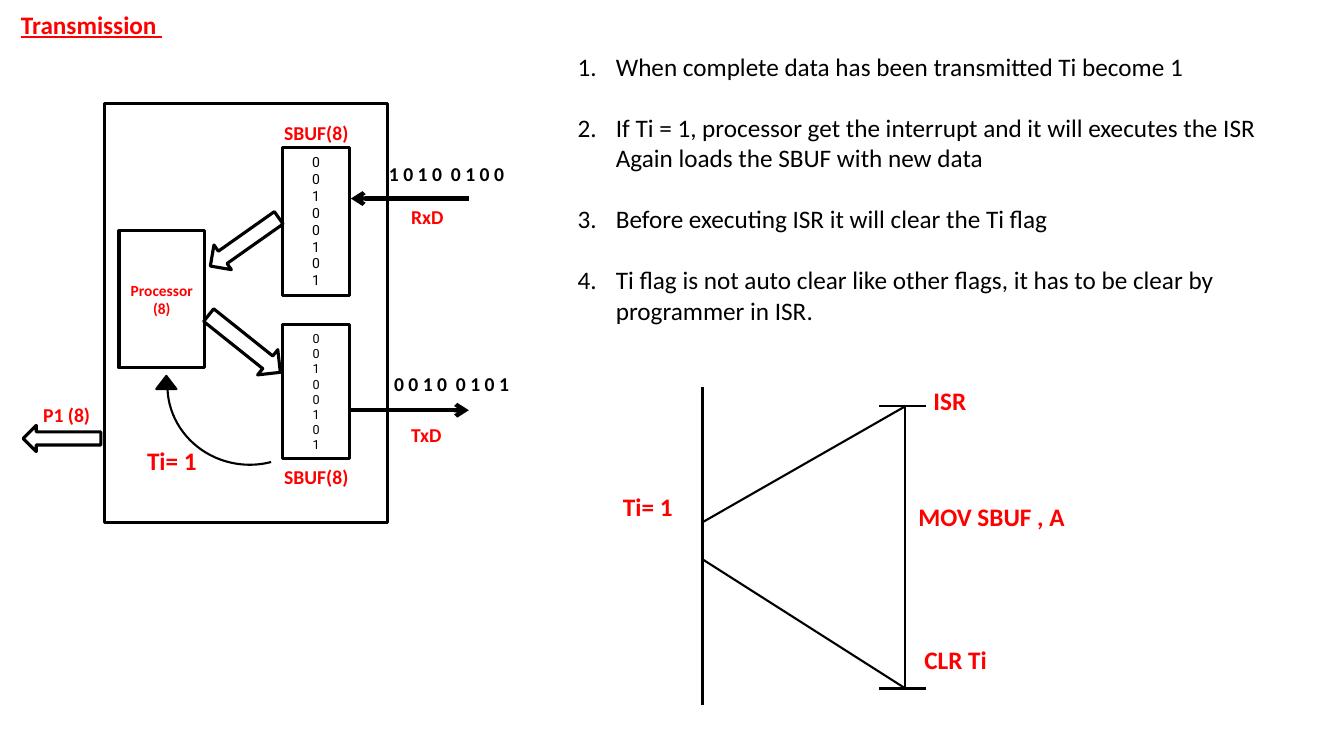
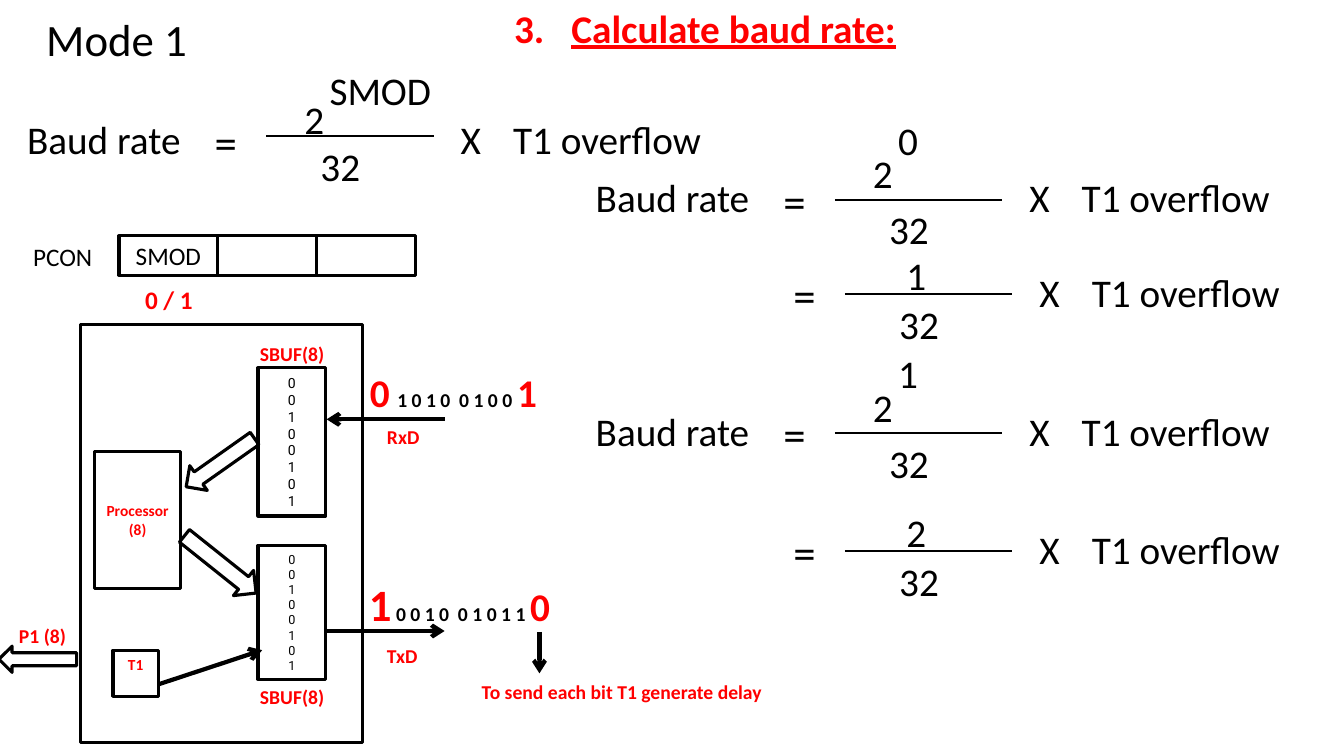
from dataclasses import dataclass

import pptx
import pptx.dml.color
import pptx.enum.shapes
import pptx.enum.text
import pptx.oxml
import pptx.oxml.ns
import pptx.util
from pptx.util import Inches

SHAPES = pptx.enum.shapes.MSO_SHAPE
ANCHORS = pptx.enum.text.MSO_ANCHOR
ALIGNMENTS = pptx.enum.text.PP_ALIGN


@dataclass(frozen=True)
class Theme:
    red: str = "FF0000"
    black: str = "000000"
    font: str = "Calibri"
    bits_font: str = "Roboto"
    caption: float = 11
    label: float = 14
    body: float = 18
    formula: float = 28
    display: float = 32
    thin: float = 1.5
    outline: float = 2.25
    thick: float = 3


THEME = Theme()
BITS = "00100101"


def rgb(color):
    return pptx.dml.color.RGBColor.from_string(color)


def style_font(font, size, color, bold=False, name=THEME.font):
    font.size = pptx.util.Pt(size)
    font.color.rgb = rgb(color)
    font.bold = bold
    font.name = name


def add_text_box(slide, left, top, width, size):
    height = size * 1.22 / 72 + 0.1
    shape = slide.shapes.add_textbox(Inches(left), Inches(top), Inches(width), Inches(height))
    shape.text_frame.word_wrap = True
    return shape.text_frame


def add_label(slide, text, left, top, width, size=THEME.label, color=THEME.red, bold=True):
    paragraph = add_text_box(slide, left, top, width, size).paragraphs[0]
    paragraph.text = text
    style_font(paragraph.font, size, color, bold)
    return paragraph


def add_bit_stream(slide, left, top, width, pieces):
    paragraph = add_text_box(slide, left, top, width, THEME.formula).paragraphs[0]
    for text, size, color in pieces:
        run = paragraph.add_run()
        run.text = text
        style_font(run.font, size, color, True)


def number_paragraph(paragraph, indent, color, start=1):
    properties = paragraph._p.get_or_add_pPr()
    properties.set("marL", str(Inches(indent)))
    properties.set("indent", str(-Inches(indent)))
    namespace = pptx.oxml.ns.nsdecls("a")
    for xml in (
        f'<a:buClr {namespace}><a:srgbClr val="{color}"/></a:buClr>',
        f'<a:buFont {namespace} typeface="+mj-lt"/>',
        f'<a:buAutoNum {namespace} type="arabicPeriod" startAt="{start}"/>',
    ):
        properties.append(pptx.oxml.parse_xml(xml))


def add_outline(slide, kind, left, top, width, height, rotation=0, weight=THEME.outline):
    shape = slide.shapes.add_shape(kind, Inches(left), Inches(top), Inches(width), Inches(height))
    shape.shadow.inherit = False
    shape.fill.background()
    shape.line.color.rgb = rgb(THEME.black)
    shape.line.width = pptx.util.Pt(weight)
    shape.rotation = rotation
    return shape


def add_box(slide, lines, left, top, width, height, size, color=THEME.black, bold=False,
            name=THEME.font, anchor=ANCHORS.MIDDLE):
    shape = add_outline(slide, SHAPES.RECTANGLE, left, top, width, height)
    shape.text_frame.text = "\n".join(lines)
    shape.text_frame.vertical_anchor = anchor
    for paragraph in shape.text_frame.paragraphs:
        paragraph.alignment = ALIGNMENTS.CENTER
        style_font(paragraph.font, size, color, bold, name)


def add_line(slide, start, end, weight=THEME.thin, arrow=False):
    points = [Inches(value) for value in (*start, *end)]
    connector = slide.shapes.add_connector(pptx.enum.shapes.MSO_CONNECTOR.STRAIGHT, *points)
    connector.line.color.rgb = rgb(THEME.black)
    connector.line.width = pptx.util.Pt(weight)
    properties = connector.element.spPr
    namespace = pptx.oxml.ns.nsdecls("a")
    if arrow:
        line = properties.find(pptx.oxml.ns.qn("a:ln"))
        line.append(pptx.oxml.parse_xml(f'<a:tailEnd {namespace} type="arrow"/>'))
    properties.append(pptx.oxml.parse_xml(f"<a:effectLst {namespace}/>"))


def add_serial_port(slide, left, top):
    add_outline(slide, SHAPES.RECTANGLE, left, top, 2.8, 4.15)
    add_box(slide, ["Processor", "(8)"], left + 0.14, top + 1.26, 0.85, 1.36,
            THEME.caption, THEME.red, True)
    for offset, height, size in ((0.43, 1.47, 10), (2.19, 1.33, 9)):
        add_box(slide, BITS, left + 1.76, top + offset, 0.67, height, size, name=THEME.bits_font)
    for text, x, y in (
        ("SBUF(8)", 1.68, 0.12),
        ("SBUF(8)", 1.68, 3.53),
        ("RxD", 2.94, 0.95),
        ("TxD", 2.94, 3.12),
        ("P1 (8)", -0.71, 2.92),
    ):
        add_label(slide, text, left + x, top + y, 1.06)
    for x, y, width, height, rotation in (
        (0.97, 1.22, 0.83, 0.3, 144.8),
        (0.93, 2.22, 0.91, 0.32, 38.6),
        (-0.81, 3.19, 0.77, 0.26, 180),
    ):
        add_outline(slide, SHAPES.RIGHT_ARROW, left + x, top + y, width, height, rotation)
    for start, end, y in ((2.44, 3.61, 3.04), (3.61, 2.44, 0.94)):
        add_line(slide, (left + start, top + y), (left + end, top + y), THEME.thick, True)


def add_baud_formula(slide, left, top, numerator, exponent=None, spread=0.32):
    def add_term(text, x, y, width, size=THEME.formula):
        add_label(slide, text, left + x, top + y, width, size, THEME.black, False)

    if exponent is None:
        add_term(numerator, 2.98, -0.17, 0.51)
    else:
        add_term("Baud rate", 0, 0, 1.78)
        add_term(numerator, 2.75, -0.73 * spread, 0.51)
        add_term(exponent, 3, -1.78 * spread, 1.3)
    add_term("=", 1.86, 0, 0.51, THEME.display)
    add_line(slide, (left + 2.47, top + spread - 0.01), (left + 4.13, top + spread - 0.01))
    add_term("32", 2.91, spread, 0.65)
    add_term("X", 4.3, 0, 0.51)
    add_term("T1 overflow", 4.82, 0, 2.09)


def add_steps(slide, steps):
    frame = add_text_box(slide, 5.63, 0.46, 7.28, THEME.body)
    frame.text = "\n".join(steps)
    for index, paragraph in enumerate(frame.paragraphs):
        number_paragraph(paragraph, 0.38, THEME.black)
        if index:
            paragraph.space_before = pptx.util.Pt(22)
        style_font(paragraph.font, THEME.body, THEME.black)


def add_interrupt_timeline(slide):
    main, routine, start, finish = 6.97, 8.98, 4.03, 6.83
    add_line(slide, (main, 3.84), (main, 6.99), THEME.outline)
    add_line(slide, (routine, start), (main, 5.18))
    add_line(slide, (routine, finish), (main, 5.55))
    add_line(slide, (routine, start), (routine, finish))
    for y in (start, finish):
        add_line(slide, (8.72, y), (9.18, y))
    for text, left, top in (
        ("Ti= 1", 6.08, 4.82),
        ("ISR", 9.16, 3.77),
        ("MOV SBUF , A", 9.01, 4.92),
        ("CLR Ti", 9.07, 6.34),
    ):
        add_label(slide, text, left, top, 2, THEME.body)


def build_transmission(slide):
    add_label(slide, "Transmission ", 0.11, 0.04, 1.8, THEME.body).font.underline = True
    add_serial_port(slide, 1.04, 1.03)
    add_label(slide, "1 0 1 0  0 1 0 0", 3.76, 1.56, 1.7, color=THEME.black)
    add_label(slide, "0 0 1 0  0 1 0 1", 3.81, 3.64, 1.7, color=THEME.black)
    arc = add_outline(slide, SHAPES.ARC, 1.66, 3.06, 1.62, 1.55, 185.5, THEME.thin)
    arc.adjustments[0] = 148.92
    arc.adjustments[1] = 0
    arrowhead = add_outline(slide, SHAPES.ISOSCELES_TRIANGLE, 1.55, 3.73, 0.2, 0.13,
                            weight=THEME.thin)
    arrowhead.fill.solid()
    arrowhead.fill.fore_color.rgb = rgb(THEME.black)
    add_label(slide, "Ti= 1", 1.36, 4.37, 1.58, THEME.body)
    add_steps(slide, (
        "When complete data has been transmitted Ti become 1",
        "If Ti = 1, processor get the interrupt and it will executes the ISR"
        "\vAgain loads the SBUF with new data",
        "Before executing ISR it will clear the Ti flag",
        "Ti flag is not auto clear like other flags, it has to be clear by\vprogrammer in ISR.",
    ))
    add_interrupt_timeline(slide)


def build_baud_rate(slide):
    add_label(slide, "Mode 1", 0.36, 0.07, 1.78, THEME.display, THEME.black, False)
    title = add_text_box(slide, 5, -0.01, 4.5, THEME.formula).paragraphs[0]
    title.text = "Calculate baud rate:"
    number_paragraph(title, 0.57, THEME.red, 3)
    style_font(title.font, THEME.formula, THEME.red, True)
    title.font.underline = True

    add_baud_formula(slide, 0.17, 1.09, "2", "SMOD", 0.27)
    add_baud_formula(slide, 5.81, 1.67, "2", "0")
    add_baud_formula(slide, 5.91, 2.61, "1")
    add_baud_formula(slide, 5.81, 3.99, "2", "1")
    add_baud_formula(slide, 5.91, 5.16, "2")

    add_label(slide, "PCON", 0.23, 2.34, 0.85, THEME.body, THEME.black, False)
    for index, text in enumerate(("SMOD", "", "")):
        add_box(slide, [text], 1.18 + index * 0.98, 2.34, 0.98, 0.39, THEME.body)
    add_label(slide, "0 / 1", 1.34, 2.77, 1.09, THEME.body)

    add_serial_port(slide, 0.8, 3.22)
    add_bit_stream(slide, 3.57, 3.6, 2.69, (
        ("0", THEME.formula, THEME.red),
        (" ", 24, THEME.black),
        ("1 0 1 0  0 1 0 0 ", THEME.label, THEME.black),
        ("1", THEME.formula, THEME.red),
    ))
    add_bit_stream(slide, 3.56, 5.67, 2.15, (
        ("1", THEME.display, THEME.red),
        (" 0 0 1 0  0 1 0 1 1 ", THEME.label, THEME.black),
        ("0", THEME.formula, THEME.red),
    ))
    add_box(slide, ["T1"], 1.12, 6.45, 0.45, 0.46, THEME.caption, THEME.red, True,
            anchor=ANCHORS.TOP)
    add_line(slide, (1.57, 6.79), (2.6, 6.45), THEME.thick, True)
    add_line(slide, (5.35, 6.27), (5.35, 6.68), THEME.thick, True)
    add_label(slide, "To send each bit T1 generate delay", 4.68, 6.7, 3.6)


def main():
    presentation = pptx.Presentation()
    presentation.slide_width = Inches(13.33)
    presentation.slide_height = Inches(7.5)
    for build in (build_transmission, build_baud_rate):
        build(presentation.slides.add_slide(presentation.slide_layouts[6]))
    presentation.save("out.pptx")


if __name__ == "__main__":
    main()
